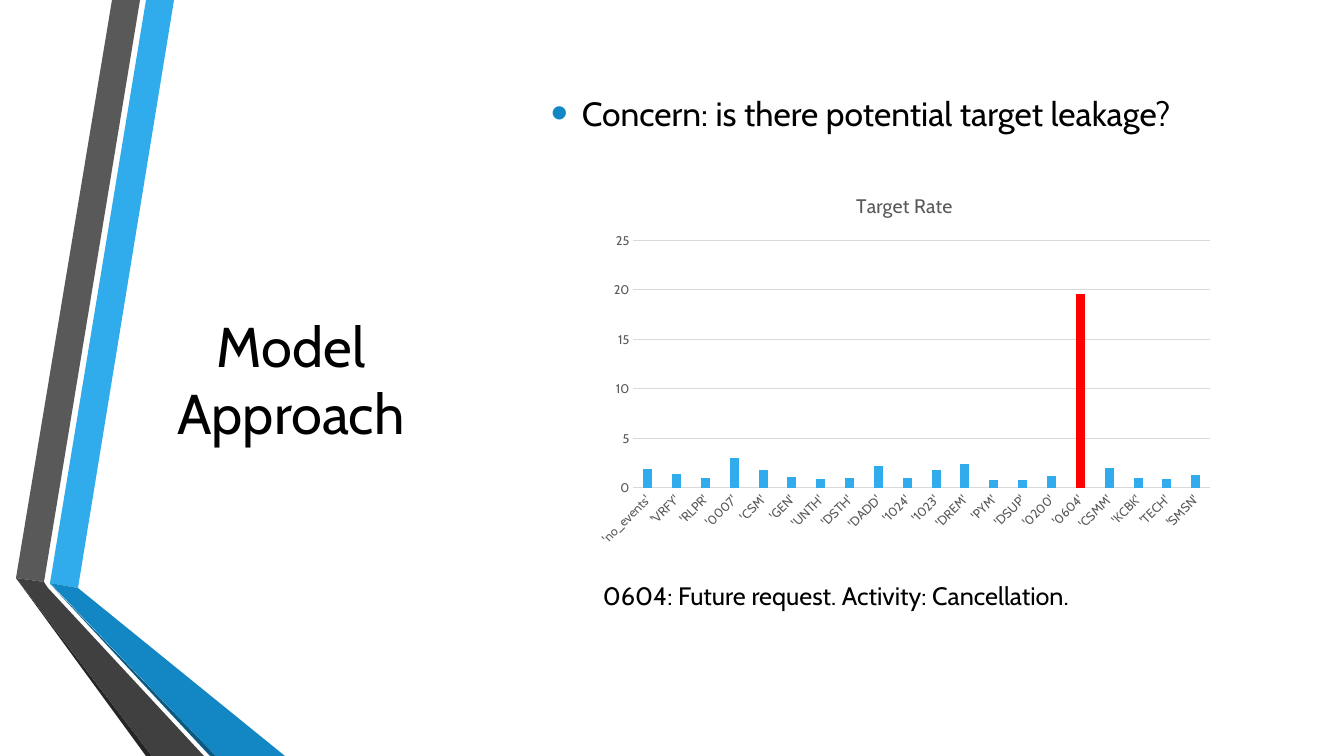
"""Build the "Model Approach" slide with its target rate chart."""
from lxml import etree
from pptx import Presentation, util as u
from pptx.chart.data import CategoryChartData
from pptx.dml.color import RGBColor
from pptx.enum import chart as ch, text as tx
from pptx.oxml import ns

SCALE = 9144 / 1.008
WIDTH, HEIGHT = 1344, 756
FONT = "Cabin"
BLACK = RGBColor(0x00, 0x00, 0x00)
SKY = RGBColor(0x30, 0xAC, 0xEC)
BLUE = RGBColor(0x12, 0x87, 0xC3)
NAVY = RGBColor(0x0C, 0x5A, 0x82)
GREY = RGBColor(0x59, 0x59, 0x59)
CHARCOAL = RGBColor(0x40, 0x40, 0x40)
COAL = RGBColor(0x26, 0x26, 0x26)
GRID = RGBColor(0xD9, 0xD9, 0xD9)
RED = RGBColor(0xFF, 0x00, 0x00)

RIBBONS = [
    (SKY, [(50, 583), (78, 588), (174, 0), (146, 0)]),
    (GREY, [(140, 0), (112, 0), (16, 578), (44, 582)]),
    (COAL, [(16, 578), (146, HEIGHT), (152, HEIGHT)]),
    (NAVY, [(50, 584), (210, HEIGHT), (216, HEIGHT)]),
    (BLUE, [(50, 583), (216, HEIGHT), (285, HEIGHT), (78, 588)]),
    (CHARCOAL, [(204, HEIGHT), (48, 588), (44, 582), (16, 578), (152, HEIGHT)]),
]
RATES = {
    "no_events": 1.9, "VRFY": 1.4, "RLPR": 1, "0007": 3, "CSM": 1.8,
    "GEN": 1.1, "UNTH": 0.9, "DSTH": 1, "DADD": 2.2, "1024": 1,
    "1023": 1.8, "DREM": 2.4, "PYM": 0.8, "DSUP": 0.8, "0200": 1.2,
    "0604": 19.6, "CSMM": 2, "KCBK": 1, "TECH": 0.9, "SMSN": 1.3,
}


def px(*lengths):
    """Turn pixel lengths into EMU."""
    return [u.Emu(round(length * SCALE)) for length in lengths]


def style_font(font, size, color=BLACK):
    """Set the face, size and colour of a font."""
    font.name, font.size, font.bold = FONT, u.Pt(size), False
    font.color.rgb = color


def write(frame, content, size, color=BLACK, align=tx.PP_ALIGN.LEFT):
    """Write one formatted paragraph and return it."""
    paragraph = frame.paragraphs[0]
    paragraph.alignment = align
    run = paragraph.add_run()
    run.text = content
    style_font(run.font, size, color)
    return paragraph


class Deck:
    """Hold the presentation style and its current slide."""

    def __init__(self):
        """Start a deck with one blank slide."""
        self.file = Presentation()
        self.file.slide_width, self.file.slide_height = px(WIDTH, HEIGHT)
        self.slide = self.file.slides.add_slide(self.file.slide_layouts[6])

    def ribbon(self, color, points):
        """Draw a filled polygon without outline."""
        builder = self.slide.shapes.build_freeform(*points[0], scale=SCALE)
        builder.add_line_segments(points[1:], close=True)
        shape = builder.convert_to_shape()
        shape.shadow.inherit = False
        shape.fill.solid()
        shape.fill.fore_color.rgb = color
        shape.line.fill.background()

    def label(self, box, content, size, anchor=tx.MSO_ANCHOR.MIDDLE, **style):
        """Add a wrapped text box and return its paragraph."""
        frame = self.slide.shapes.add_textbox(*px(*box)).text_frame
        frame.word_wrap = True
        frame.vertical_anchor = anchor
        return write(frame, content, size, **style)

    def bullet(self, box, content, size, color):
        """Add a text box with one bulleted paragraph."""
        properties = self.label(box, content, size)._p.get_or_add_pPr()
        indent = px(31)[0]
        properties.set("marL", str(indent))
        properties.set("indent", str(-indent))
        tint = etree.SubElement(properties, ns.qn("a:buClr"))
        etree.SubElement(tint, ns.qn("a:srgbClr"), val=str(color))
        etree.SubElement(properties, ns.qn("a:buSzPct"), val="145000")
        etree.SubElement(properties, ns.qn("a:buFont"), typeface="Arial")
        etree.SubElement(properties, ns.qn("a:buChar"), char="•")

    def columns(self, box, name, rates, highlight):
        """Add a column chart with one highlighted category."""
        data = CategoryChartData()
        data.categories = [f"'{code}'" for code in rates]
        data.add_series(name, rates.values())
        chart = self.slide.shapes.add_chart(
            ch.XL_CHART_TYPE.COLUMN_CLUSTERED, *px(*box), data).chart
        style_font(chart.font, 10)
        chart.has_legend = False
        chart.has_title = True
        write(chart.chart_title.text_frame, name, 14, GREY, tx.PP_ALIGN.CENTER)
        chart.chart_title.include_in_layout = False

        plot = chart.plots[0]
        plot.gap_width, plot.overlap, plot.vary_by_categories = 219, -27, False
        series = plot.series[0]
        point = series.points[list(rates).index(highlight)]
        for part, color in ((series, SKY), (point, RED)):
            part.format.fill.solid()
            part.format.fill.fore_color.rgb = color

        codes, values = chart.category_axis, chart.value_axis
        for axis in (codes, values):
            axis.major_tick_mark = axis.minor_tick_mark = ch.XL_TICK_MARK.NONE
            style_font(axis.tick_labels.font, 9, GREY)
        values.minimum_scale, values.maximum_scale, values.major_unit = 0, 25, 5
        values.format.line.fill.background()
        for line in (codes.format.line, values.major_gridlines.format.line):
            line.color.rgb = GRID
            line.width = u.Pt(0.75)
        for body in chart._chartSpace.xpath(".//c:catAx/c:txPr/a:bodyPr"):
            body.set("rot", "-2700000")


deck = Deck()
for ribbon_color, outline in RIBBONS:
    deck.ribbon(ribbon_color, outline)
deck.label((149, 86, 284, 586), "Model Approach", 40, align=tx.PP_ALIGN.CENTER)
deck.bullet((541, 38, 725, 150), "Concern: is there potential target leakage?",
            24, BLUE)
deck.columns((586, 176, 637, 378), "Target Rate", RATES, "0604")
deck.label((593, 575, 630, 40), "0604: Future request. Activity: Cancellation.",
           18, anchor=tx.MSO_ANCHOR.TOP)
deck.file.save("out.pptx")
